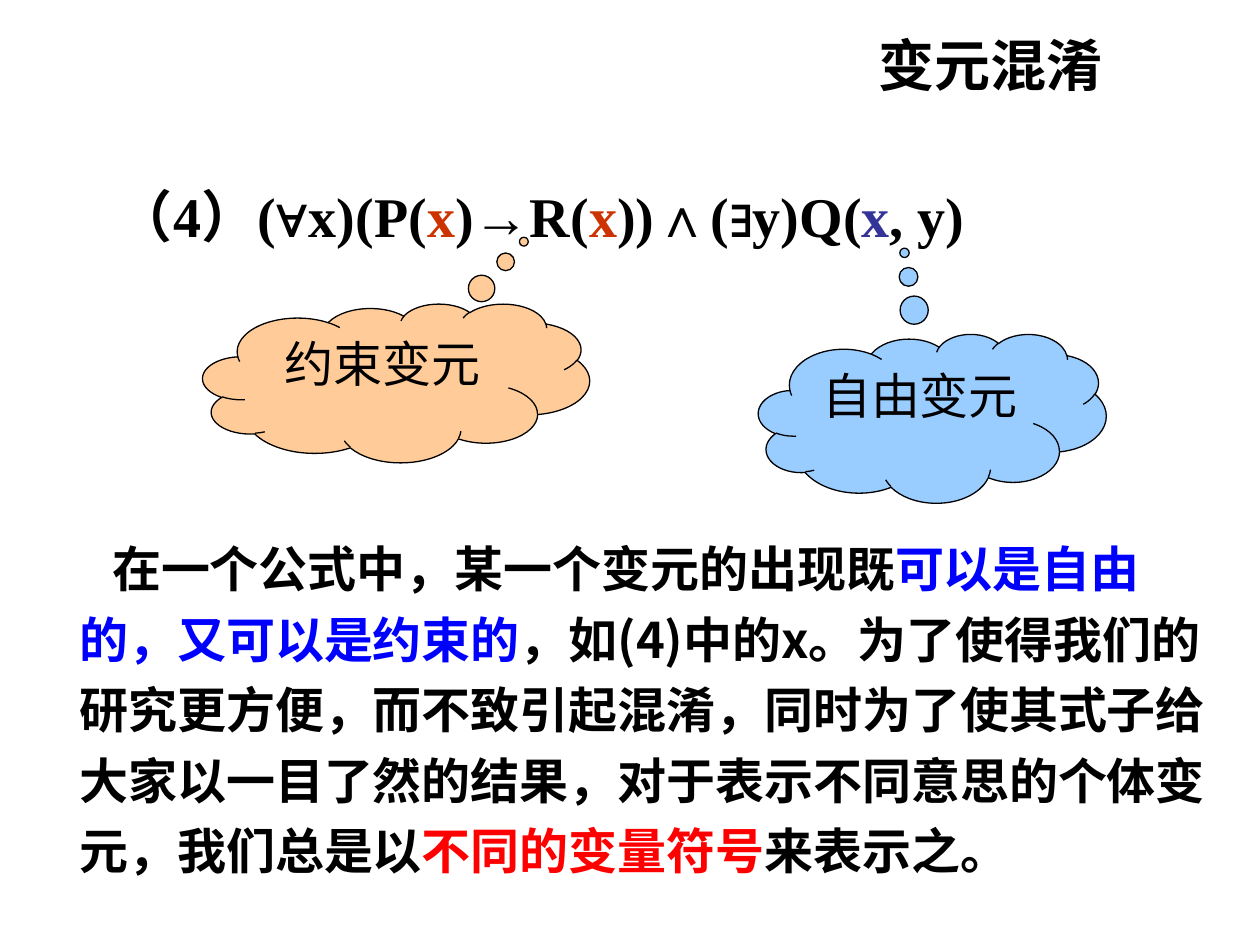
from lxml import etree
from pptx import Presentation
from pptx.dml.color import RGBColor
from pptx.enum.shapes import MSO_SHAPE
from pptx.enum.text import MSO_ANCHOR, MSO_AUTO_SIZE, PP_ALIGN
from pptx.oxml.ns import qn
from pptx.util import Inches, Pt

BLACK = RGBColor(0x00, 0x00, 0x00)
BLUE = RGBColor(0x00, 0x00, 0xFF)
RED = RGBColor(0xFF, 0x00, 0x00)
BOUND_RED = RGBColor(0xCC, 0x33, 0x00)
FREE_BLUE = RGBColor(0x33, 0x33, 0x99)
PEACH = RGBColor(0xFF, 0xCC, 0x99)
SKY = RGBColor(0x99, 0xCC, 0xFF)

SANS = "Arial"
SERIF = "Times New Roman"
CJK = "Noto Sans CJK SC"

FORMULA = [
    ("（4）(", BLACK, SERIF), ("∀", BLACK, SANS), ("x)(P(", BLACK, SERIF),
    ("x", BOUND_RED, SERIF), (")→R(", BLACK, SERIF), ("x", BOUND_RED, SERIF),
    ("))∧(", BLACK, SERIF), ("∃", BLACK, SANS), ("y)Q(", BLACK, SERIF),
    ("x", FREE_BLUE, SERIF), (", y)", BLACK, SERIF),
]
EXPLANATION = [
    ("在一个公式中，某一个变元的出现既", BLACK, CJK),
    ("可以是自由的，又可以是约束的", BLUE, CJK),
    ("，如(4)中的x。为了使得我们的研究更方便，而不致引起混淆，"
     "同时为了使其式子给大家以一目了然的结果，"
     "对于表示不同意思的个体变元，我们总是以", BLACK, CJK),
    ("不同的变量符号", RED, CJK),
    ("来表示之。", BLACK, CJK),
]


def format_run(run, size, color, font_name, bold):
    font = run.font
    font.size = Pt(size)
    font.bold = bold
    font.name = font_name
    font.color.rgb = color
    east_asian = etree.Element(qn("a:ea"), typeface=CJK)
    run._r.rPr.find(qn("a:latin")).addnext(east_asian)


def set_title(slide, text):
    title = slide.shapes.title
    title.left, title.top = Inches(2.16), Inches(0.28)
    title.width, title.height = Inches(6.69), Inches(0.46)
    frame = title.text_frame
    frame.text = text
    frame.auto_size = MSO_AUTO_SIZE.NONE
    frame.vertical_anchor = MSO_ANCHOR.MIDDLE
    paragraph = frame.paragraphs[0]
    paragraph.alignment = PP_ALIGN.RIGHT
    format_run(paragraph.runs[0], 32, BLACK, SANS, True)


def add_rich_text(slide, left, top, width, height, parts, size):
    """Add a bold one-paragraph box from (text, colour, font) parts."""
    box = slide.shapes.add_textbox(
        Inches(left), Inches(top), Inches(width), Inches(height))
    frame = box.text_frame
    frame.word_wrap = True
    paragraph = frame.paragraphs[0]
    for text, color, font_name in parts:
        run = paragraph.add_run()
        run.text = text
        format_run(run, size, color, font_name, True)
    return frame


def add_thought_cloud(slide, left, top, width, height, tail, text, fill):
    """Add a cloud callout; tail is its tip's offset from the centre."""
    cloud = slide.shapes.add_shape(
        MSO_SHAPE.CLOUD_CALLOUT,
        Inches(left), Inches(top), Inches(width), Inches(height))
    cloud.adjustments[0], cloud.adjustments[1] = tail
    cloud.shadow.inherit = False
    cloud.fill.solid()
    cloud.fill.fore_color.rgb = fill
    cloud.line.color.rgb = BLACK
    cloud.line.width = Pt(0.75)
    frame = cloud.text_frame
    frame.text = text
    frame.vertical_anchor = MSO_ANCHOR.TOP
    paragraph = frame.paragraphs[0]
    paragraph.alignment = PP_ALIGN.CENTER
    format_run(paragraph.runs[0], 28, BLACK, SANS, False)


def main():
    prs = Presentation()
    prs.slide_width, prs.slide_height = Inches(10), Inches(7.5)
    slide = prs.slides.add_slide(prs.slide_layouts[5])

    set_title(slide, "变元混淆")
    add_rich_text(slide, 0.83, 1.39, 8.82, 0.92, FORMULA, 32)

    add_thought_cloud(slide, 1.61, 2.41, 3.07, 1.26, (0.33, -0.89),
                      "约束变元", PEACH)
    add_thought_cloud(slide, 6.02, 2.65, 2.76, 1.34, (-0.08, -0.98),
                      "自由变元", SKY)

    explanation = add_rich_text(slide, 0.59, 4.14, 9.08, 2.88, EXPLANATION, 28)
    explanation.margin_left = explanation.margin_right = Inches(0.04)
    explanation.margin_top = explanation.margin_bottom = Inches(0.04)
    paragraph = explanation.paragraphs[0]
    paragraph.line_spacing = 1.2
    properties = paragraph._p.get_or_add_pPr()
    properties.set("indent", str(Inches(0.26)))
    properties.set("hangingPunct", "0")

    prs.save("out.pptx")


if __name__ == "__main__":
    main()
